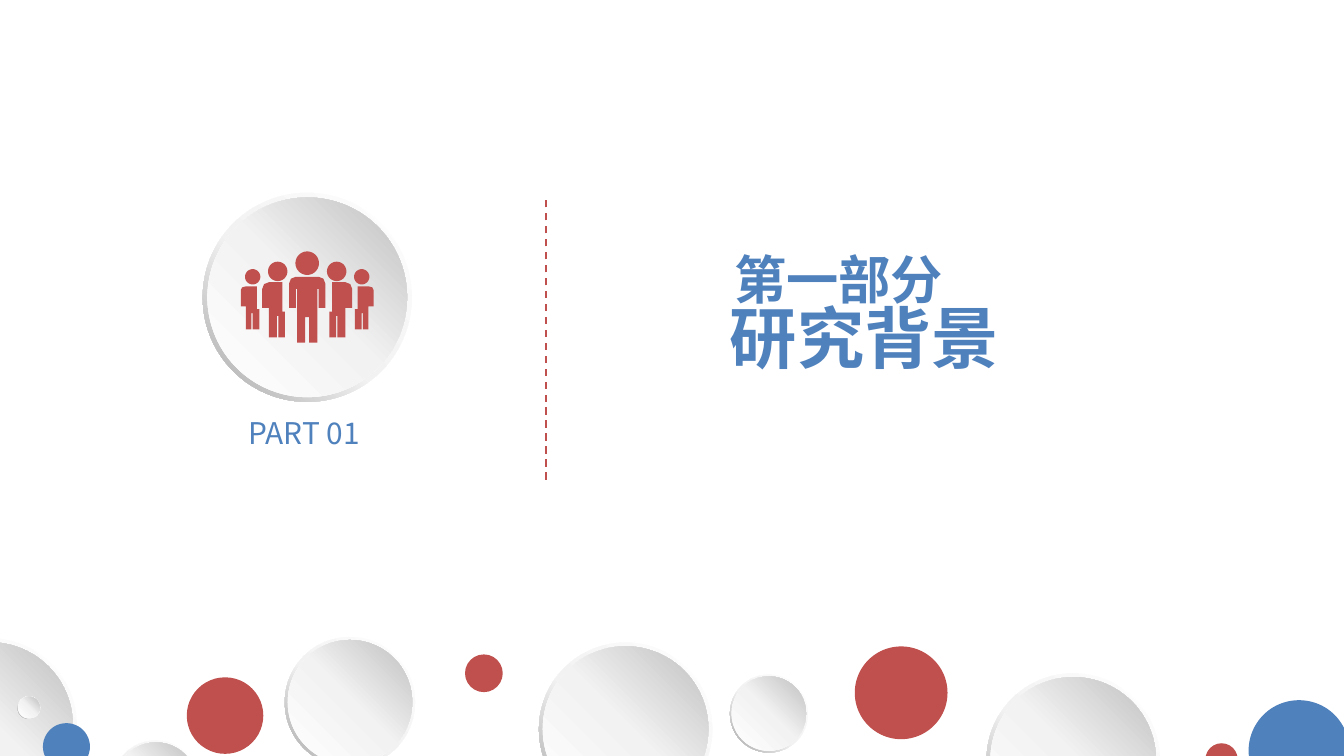
import copy
import math
import pptx
import pptx.util
import pptx.dml.color
import pptx.enum.dml
import pptx.enum.shapes
import pptx.enum.text
import pptx.oxml
import pptx.oxml.ns

Pt = pptx.util.Pt
RGBColor = pptx.dml.color.RGBColor
MSO_SHAPE = pptx.enum.shapes.MSO_SHAPE
PP_ALIGN = pptx.enum.text.PP_ALIGN
qn = pptx.oxml.ns.qn

BLUE = RGBColor(0x4F, 0x81, 0xBD)
RED = RGBColor(0xC0, 0x50, 0x4D)
WHITE = RGBColor(0xFF, 0xFF, 0xFF)
PALE = RGBColor(0xF2, 0xF2, 0xF2)
SILVER = RGBColor(0xBF, 0xBF, 0xBF)
GREY = RGBColor(0xA6, 0xA6, 0xA6)

# Gradient: stops and counter-clockwise angle
RIM = ([(0, WHITE), (0.55, PALE), (1, GREY)], 225)
FACE = ([(0, WHITE), (0.51, PALE), (1, SILVER)], 45)


class SlideBuilder:
    font = "Noto Sans CJK SC"
    line_spacing = 0.84
    rim_width = 0.049
    face_inset = 0.0225

    def __init__(self, page):
        self.page = page

    def fill_text(self, box, paragraphs, frame_format):
        frame = box.text_frame
        for name, value in frame_format.items():
            setattr(frame, name, value)
        for index, (align, spans) in enumerate(paragraphs):
            para = frame.paragraphs[0] if index == 0 else frame.add_paragraph()
            para.alignment = align
            para.line_spacing = self.line_spacing
            for text, size, bold in spans:
                span = para.add_run()
                span.text = text
                values = {"name": self.font, "size": Pt(size), "bold": bold}
                for name, value in values.items():
                    setattr(span.font, name, value)
                span.font.color.rgb = BLUE
                east_asian = pptx.oxml.parse_xml(
                    f'<a:ea {pptx.oxml.ns.nsdecls("a")} typeface="{self.font}"/>')
                span._r.rPr.find(qn("a:latin")).addnext(east_asian)

    def title(self, left, top, width, height, paragraphs, **frame_format):
        box = self.page.shapes.title
        place = {"left": left, "top": top, "width": width, "height": height}
        for name, value in place.items():
            setattr(box, name, Pt(value))
        self.fill_text(box, paragraphs, frame_format)

    def label(self, left, top, width, height, paragraphs, **frame_format):
        box = self.page.shapes.add_textbox(Pt(left), Pt(top), Pt(width), Pt(height))
        self.fill_text(box, paragraphs, frame_format)

    def dashed_line(self, x, top, bottom):
        line = self.page.shapes.add_connector(
            pptx.enum.shapes.MSO_CONNECTOR.STRAIGHT, Pt(x), Pt(bottom), Pt(x), Pt(top))
        line.line.color.rgb = RED
        line.line.width = Pt(1)
        line.line.dash_style = pptx.enum.dml.MSO_LINE.DASH
        line._element.spPr.append(pptx.oxml.parse_xml(
            f'<a:effectLst {pptx.oxml.ns.nsdecls("a")}/>'))

    def paint(self, shape, paint):
        shape.shadow.inherit = False
        shape.line.fill.background()
        if isinstance(paint, RGBColor):
            shape.fill.solid()
            shape.fill.fore_color.rgb = paint
            return
        stops, angle = paint
        shape.fill.gradient()
        stop_list = shape._element.spPr.find(".//" + qn("a:gsLst"))
        stop_list.append(copy.deepcopy(stop_list[-1]))
        for stop, (position, color) in zip(shape.fill.gradient_stops, stops):
            stop.position = position
            stop.color.rgb = color
        shape.fill.gradient_angle = angle

    def disc(self, left, top, size, color=None):
        group = self.page.shapes.add_group_shape()
        inset = size * self.face_inset
        for kind, gap, paint in ((MSO_SHAPE.DONUT, 0, color or RIM),
                                 (MSO_SHAPE.OVAL, inset, color or FACE)):
            side = Pt(size - 2 * gap)
            shape = group.shapes.add_shape(kind, Pt(left + gap), Pt(top + gap), side, side)
            if kind == MSO_SHAPE.DONUT:
                shape.adjustments[0] = self.rim_width
            self.paint(shape, paint)
        return group

    def outline(self, group, contours, color):
        contours = [[(Pt(x), Pt(y)) for x, y in contour] for contour in contours]
        builder = group.shapes.build_freeform(*contours[0][0])
        for index, contour in enumerate(contours):
            if index:
                builder.move_to(*contour[0])
            builder.add_line_segments(contour[1:], close=True)
        self.paint(builder.convert_to_shape(), color)


def mirror(points, axis, side):
    return [(axis + side * x, y) for x, y in points]


def circle(x, y, radius, steps=40):
    turns = [2 * math.pi * step / steps for step in range(steps)]
    return [(x + radius * math.cos(t), y + radius * math.sin(t)) for t in turns]


def people(axis):
    # Horizontal distances run outward from the axis
    leader_half = [(0, 148.3), (6.1, 148.3), (8.7, 149.3), (9.7, 151.9), (9.7, 164.9),
                   (6.1, 164.9), (6.1, 154.8), (5.4, 154.8), (5.4, 183.6),
                   (1.1, 183.6), (1.1, 169.9), (0, 169.9)]
    inner = [(11.9, 167), (11.9, 180.7), (15.5, 180.7), (15.5, 169.2), (16.2, 169.2),
             (16.2, 180.7), (20.5, 180.7), (20.5, 164.9), (24.1, 164.9),
             (24.1, 154.8), (23.1, 152.2), (20.5, 151.2), (13.3, 151.2), (13.3, 167)]
    outer = [(25.6, 165.6), (25.6, 176.4), (29.2, 176.4), (29.2, 167.8), (29.9, 167.8),
             (29.9, 176.4), (32.8, 176.4), (32.8, 164.2), (35.6, 164.2),
             (35.6, 155.5), (34.9, 154), (32.8, 153.4), (27, 153.4), (27, 165.6)]
    contours = [circle(axis, 141, 6.3),
                mirror(leader_half, axis, 1) + mirror(leader_half[::-1], axis, -1)]
    for body in (inner, outer, circle(15.8, 145.4, 5.2), circle(29.2, 148.3, 4.1)):
        contours += [mirror(body, axis, side) for side in (-1, 1)]
    return contours


deck = pptx.Presentation()
deck.slide_width, deck.slide_height = Pt(720), Pt(405)
slide = SlideBuilder(deck.slides.add_slide(deck.slide_layouts[5]))

# Section title
slide.title(383, 134, 160, 85,
            [(PP_ALIGN.LEFT, [(" ", 14, True), ("第一部分", 28, True)]),
             (PP_ALIGN.CENTER, [("研究背景", 36, True)])],
            word_wrap=False,
            vertical_anchor=pptx.enum.text.MSO_ANCHOR.TOP,
            auto_size=pptx.enum.text.MSO_AUTO_SIZE.SHAPE_TO_FIT_TEXT)

# Divider and part number
slide.dashed_line(292.5, 106, 257)
slide.label(133.2, 225.4, 71.3, 19.4, [(PP_ALIGN.LEFT, [("PART 01", 16, False)])],
            word_wrap=True, margin_left=0, margin_right=0, margin_top=0, margin_bottom=0,
            auto_size=pptx.enum.text.MSO_AUTO_SIZE.SHAPE_TO_FIT_TEXT)

# Badge with a group of people
badge = slide.disc(108.6, 103.3, 112)
slide.outline(badge, people(164.6), RED)

# Discs along the bottom edge
DISCS = [
    (288.7, 344.2, 92.9, None), (457.9, 346.3, 49.7, RED), (152.6, 341.3, 69.8, None),
    (668.9, 375.1, 54, BLUE), (60.5, 396.7, 46.1, None), (249.1, 350.6, 20.2, RED),
    (391, 361.4, 41.8, None), (528.5, 360.7, 92.9, None), (645.8, 398.2, 17.3, RED),
    (-51.8, 342, 92.9, None), (100.1, 362.9, 41, RED), (23, 387.4, 25.2, BLUE),
    (9.4, 373, 12.2, None),
]
for left, top, size, color in DISCS:
    slide.disc(left, top, size, color)

deck.save("out.pptx")
